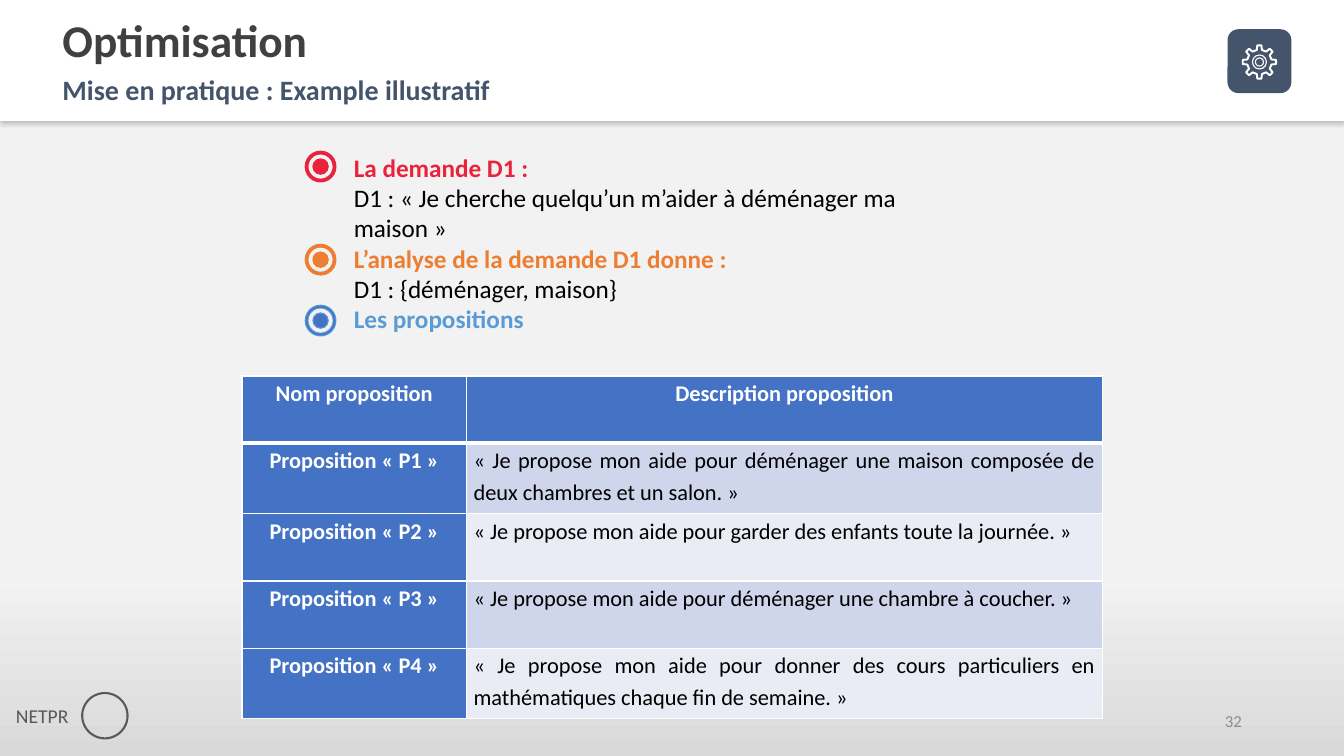
import math
from dataclasses import dataclass

import pptx
import pptx.dml.color
import pptx.enum.shapes
import pptx.enum.text
import pptx.oxml
import pptx.oxml.ns
import pptx.util

Pt = pptx.util.Pt
MSO_SHAPE = pptx.enum.shapes.MSO_SHAPE
ALIGN = pptx.enum.text.PP_ALIGN
ANCHOR = pptx.enum.text.MSO_ANCHOR


@dataclass(frozen=True)
class Theme:
    font: str = "Calibri"
    title_size: float = 32.4
    subtitle_size: float = 20
    list_size: float = 18
    table_size: float = 16
    brand_size: float = 14
    page_size: float = 12
    white: str = "FFFFFF"
    black: str = "000000"
    page_top: str = "F2F2F2"
    page_bottom: str = "D9D9D9"
    title: str = "404040"
    slate: str = "44546A"
    brand: str = "595959"
    page_number: str = "8C8C8C"
    red: str = "E9233C"
    orange: str = "ED7D31"
    blue: str = "4472C4"
    light_blue: str = "5B9BD5"
    bands: tuple = ("CFD5EA", "E9EBF5")


THEME = Theme()

STEPS = [
    ("La demande D1 :", THEME.red, True),
    ("D1 : « Je cherche quelqu’un m’aider à déménager ma maison »", THEME.black, False),
    ("L’analyse de la demande D1 donne :", THEME.orange, True),
    ("D1 : {déménager, maison}", THEME.black, False),
    ("Les propositions", THEME.light_blue, True),
]
TARGETS = [  # top, fill, line
    (108, THEME.red, THEME.red),
    (174.5, THEME.orange, THEME.orange),
    (218, THEME.blue, THEME.light_blue),
]
PROPOSITIONS = [
    ("Nom proposition", "Description proposition"),
    ("Proposition « P1 »",
     "« Je propose mon aide pour déménager une maison composée de deux chambres et un salon. »"),
    ("Proposition « P2 »",
     "« Je propose mon aide pour garder des enfants toute la journée. »"),
    ("Proposition « P3 »",
     "« Je propose mon aide pour déménager une chambre à coucher. »"),
    ("Proposition « P4 »",
     "« Je propose mon aide pour donner des cours particuliers en mathématiques chaque fin de semaine. »"),
]
COLUMN_WIDTHS = (160.5, 454)
ROW_HEIGHTS = (48, 50.4, 48, 48, 50.4)


def rgb(value):
    return pptx.dml.color.RGBColor.from_string(value)


def xml(tag, inner="", **attrs):
    attrs = "".join(f' {name}="{value}"' for name, value in attrs.items())
    return pptx.oxml.parse_xml(
        f'<a:{tag} {pptx.oxml.ns.nsdecls("a")}{attrs}>{inner}</a:{tag}>')


def write(tf, text, *, size, color, bold=False, align=ALIGN.LEFT, spacing=1.0,
          new=False, plain=False):
    """Write one paragraph; new appends it, plain drops the inherited bullet."""
    p = tf.add_paragraph() if new else tf.paragraphs[0]
    p.alignment, p.line_spacing, p.space_before = align, spacing, Pt(0)
    if plain:
        pPr = p._p.get_or_add_pPr()
        pPr.set("marL", "0")
        pPr.set("indent", "0")
        pPr.append(xml("buNone"))
    r = p.add_run()
    r.text = text
    r.font.name, r.font.size, r.font.bold = THEME.font, Pt(size), bold
    r.font.color.rgb = rgb(color)


def place(sp, left, top, width, height, anchor=ANCHOR.TOP, wrap=True):
    sp.left, sp.top, sp.width, sp.height = map(Pt, (left, top, width, height))
    tf = sp.text_frame
    tf.word_wrap, tf.vertical_anchor = wrap, anchor
    tf.auto_size = pptx.enum.text.MSO_AUTO_SIZE.NONE
    return tf


def paint(sp, fill=None, line=None, weight=0.75):
    sp.shadow.inherit = False
    if fill:
        sp.fill.solid()
        sp.fill.fore_color.rgb = rgb(fill)
    else:
        sp.fill.background()
    if line:
        sp.line.color.rgb, sp.line.width = rgb(line), Pt(weight)
    else:
        sp.line.fill.background()
    return sp


def add_shape(slide, kind, left, top, width, height, **look):
    sp = slide.shapes.add_shape(kind, *map(Pt, (left, top, width, height)))
    return paint(sp, **look)


def add_circle(slide, cx, cy, radius, **look):
    return add_shape(slide, MSO_SHAPE.OVAL, cx - radius, cy - radius,
                     2 * radius, 2 * radius, **look)


def add_target(slide, top, fill, line):
    left, size = 218, 22
    ring = add_shape(slide, MSO_SHAPE.DONUT, left, top, size, size, fill=fill, line=line)
    ring.adjustments[0] = 0.09
    add_circle(slide, left + size / 2, top + size / 2, 5.5, fill=fill, line=line)


def add_gear(slide, cx, cy, teeth=8):
    badge = add_shape(slide, MSO_SHAPE.ROUNDED_RECTANGLE, cx - 22.8, cy - 23.4,
                      45.6, 45.6, fill=THEME.slate)
    badge.adjustments[0] = 0.17
    points = []
    for tooth in range(teeth):
        for offset, radius in ((-12, 8.8), (-7, 12), (7, 12), (12, 8.8)):
            angle = math.radians(tooth * 360 / teeth + offset)
            points.append((Pt(cx + radius * math.cos(angle)),
                           Pt(cy + radius * math.sin(angle))))
    outline = slide.shapes.build_freeform(*points[0])
    outline.add_line_segments(points[1:], close=True)
    paint(outline.convert_to_shape(), line=THEME.white, weight=1.4)
    for radius in (5, 2.9):
        add_circle(slide, cx, cy, radius, line=THEME.white, weight=0.8)


def add_banner(slide):
    banner = add_shape(slide, MSO_SHAPE.RECTANGLE, 0, 0, 960, 86.4, fill=THEME.white)
    shade = f'<a:srgbClr val="{THEME.black}"><a:alpha val="20000"/></a:srgbClr>'
    effects = banner._element.spPr.find(pptx.oxml.ns.qn("a:effectLst"))
    effects.append(xml("outerShdw", shade, blurRad=Pt(3), dist=Pt(2), dir=5400000,
                       algn="t", rotWithShape=0))
    slide.shapes.title._element.addprevious(banner._element)


def set_borders(cell, **widths):
    tcPr = cell._tc.get_or_add_tcPr()
    ink = f'<a:solidFill><a:srgbClr val="{THEME.white}"/></a:solidFill>'
    for i, side in enumerate("LRTB"):
        tcPr.insert(i, xml("ln" + side, ink, w=Pt(widths.get(side, 1))))


def add_propositions(slide):
    table = slide.shapes.add_table(
        len(PROPOSITIONS), len(COLUMN_WIDTHS), Pt(172.8), Pt(268.6),
        Pt(sum(COLUMN_WIDTHS)), Pt(sum(ROW_HEIGHTS))).table
    for column, width in zip(table.columns, COLUMN_WIDTHS):
        column.width = Pt(width)
    for row, (texts, height) in enumerate(zip(PROPOSITIONS, ROW_HEIGHTS)):
        table.rows[row].height = Pt(height)
        for col, text in enumerate(texts):
            cell = table.cell(row, col)
            heading = row == 0 or col == 0
            cell.margin_left = cell.margin_right = Pt(5)
            cell.margin_top = cell.margin_bottom = Pt(0)
            cell.fill.solid()
            cell.fill.fore_color.rgb = rgb(THEME.blue if heading else THEME.bands[(row - 1) % 2])
            set_borders(cell, T=3 if row == 1 else 1, B=3 if row == 0 else 1)
            write(cell.text_frame, text, size=THEME.table_size, bold=heading, spacing=1.15,
                  color=THEME.white if heading else THEME.black,
                  align=ALIGN.CENTER if heading else ALIGN.JUSTIFY)


def add_label(slide, text, box, *, anchor=ANCHOR.TOP, wrap=True, **look):
    sp = slide.shapes.add_textbox(0, 0, 0, 0)
    write(place(sp, *box, anchor=anchor, wrap=wrap), text, **look)


def set_background(slide):
    fill = slide.background.fill
    fill.gradient()
    fill.gradient_angle = 270
    stops = ((0.76, THEME.page_top), (1, THEME.page_bottom))
    for stop, (position, color) in zip(fill.gradient_stops, stops):
        stop.position, stop.color.rgb = position, rgb(color)


def main():
    prs = pptx.Presentation()
    prs.slide_width, prs.slide_height = Pt(960), Pt(540)
    slide = prs.slides.add_slide(prs.slide_layouts.get_by_name("Two Content"))
    title, subtitle, steps = slide.placeholders
    set_background(slide)
    add_banner(slide)
    add_circle(slide, 74.9, 511.2, 16.2, line=THEME.brand, weight=1.5)
    add_label(slide, "NETPR", (4.3, 499, 60, 24.5), wrap=False,
              size=THEME.brand_size, color=THEME.brand)
    write(place(title, 37.4, 14.4, 884, 31.7, ANCHOR.MIDDLE), "Optimisation",
          size=THEME.title_size, color=THEME.title, bold=True, spacing=0.9)
    write(place(subtitle, 37.4, 51.1, 884, 21.6), "Mise en pratique : Example illustratif",
          size=THEME.subtitle_size, color=THEME.slate, bold=True, spacing=0.9, plain=True)
    add_label(slide, "32", (678.2, 500.4, 216, 28.8), anchor=ANCHOR.MIDDLE,
              size=THEME.page_size, color=THEME.page_number, align=ALIGN.RIGHT)
    add_propositions(slide)
    tf = place(steps, 245.5, 105.1, 437.8, 140)
    for i, (text, color, bold) in enumerate(STEPS):
        write(tf, text, size=THEME.list_size, color=color, bold=bold, new=i > 0, plain=True)
    for target in TARGETS:
        add_target(slide, *target)
    add_gear(slide, 899.6, 44.3)
    prs.save("out.pptx")


if __name__ == "__main__":
    main()
